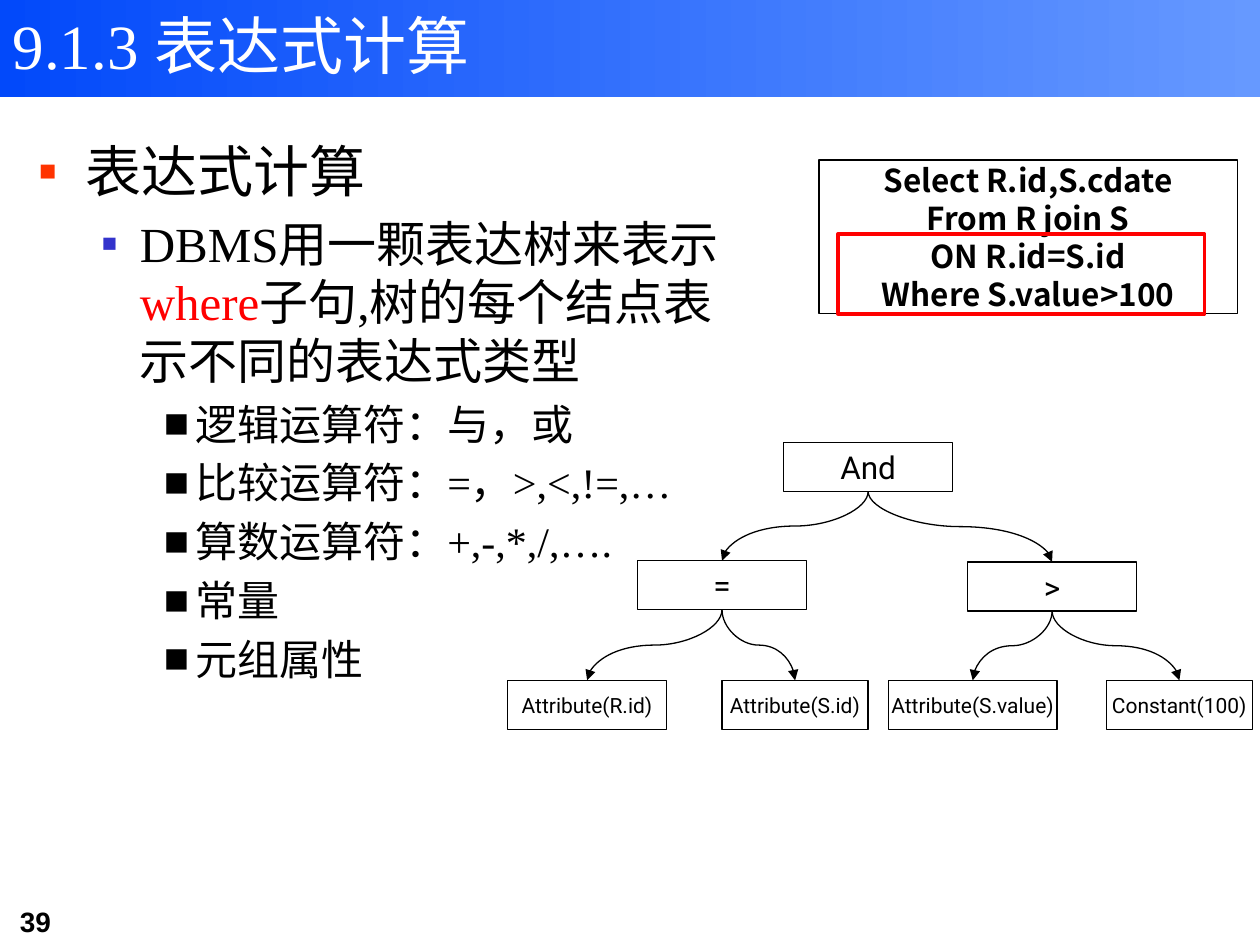
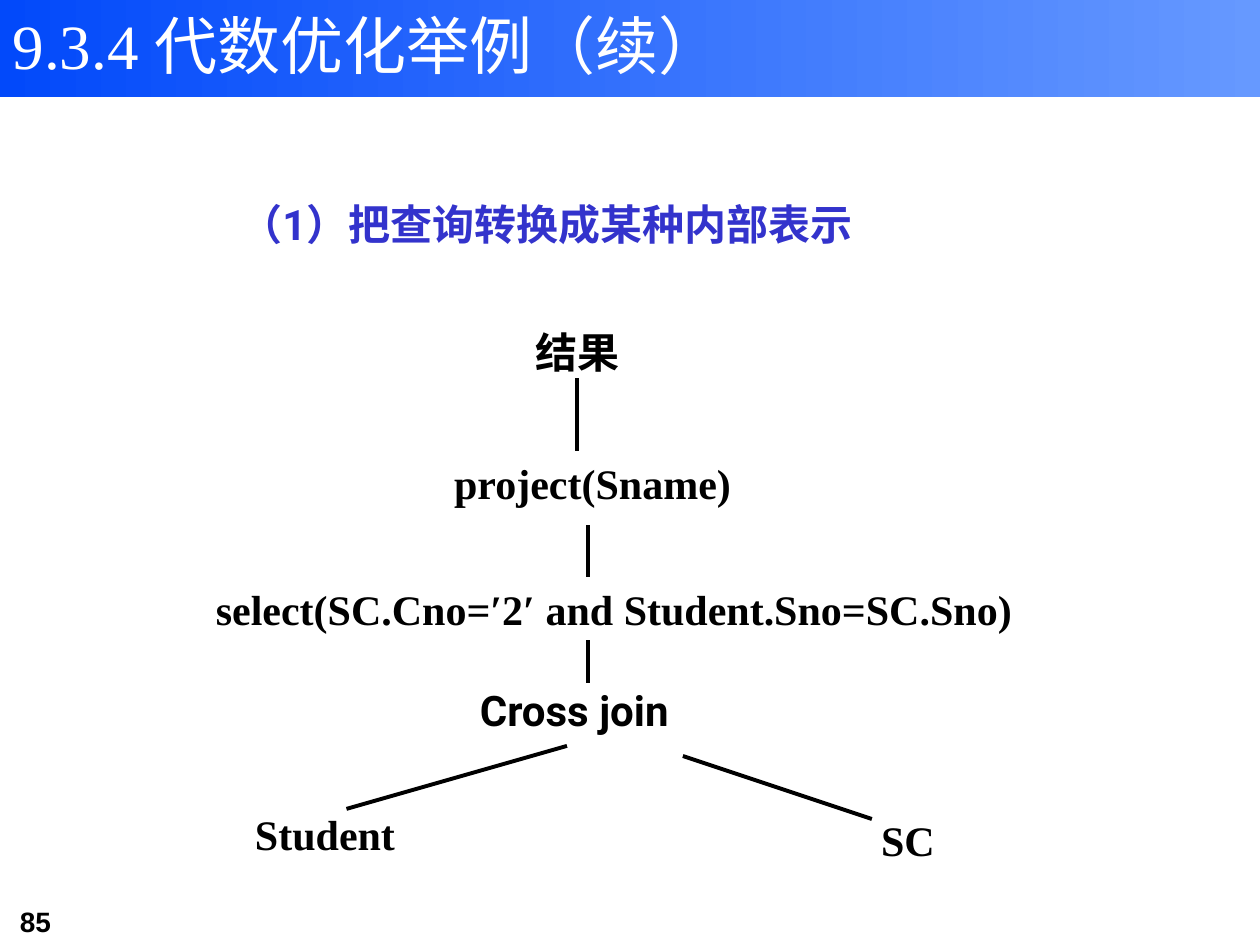
from lxml import etree
from pptx import Presentation
from pptx.dml.color import RGBColor
from pptx.enum.shapes import MSO_CONNECTOR, MSO_SHAPE
from pptx.enum.text import MSO_ANCHOR, MSO_AUTO_SIZE, PP_ALIGN
from pptx.oxml.ns import qn
from pptx.util import Inches, Pt

RECTANGLE = MSO_SHAPE.RECTANGLE
STRAIGHT, CURVE = MSO_CONNECTOR.STRAIGHT, MSO_CONNECTOR.CURVE
TOP, MIDDLE = MSO_ANCHOR.TOP, MSO_ANCHOR.MIDDLE
LEFT, CENTER = PP_ALIGN.LEFT, PP_ALIGN.CENTER
TOP_SIDE, BOTTOM_SIDE = 0, 2
TITLE_AND_CONTENT, TITLE_ONLY = 1, 5

COLORS = {
    "black": "000000", "white": "FFFFFF", "red": "FF0000",
    "band_start": "0249FA", "band_end": "6699FF",
    "bullet": "FF3300", "blue": "3333CC",
}
SERIF, SANS, CJK, NUMBER_FONT = "Times New Roman", "Roboto", "Noto Sans CJK SC", "Arial"

# List style per level: text size, left margin, hanging indent, bullet, bullet colour
LEVELS = [
    (32, 0.38, 0.38, "▪", "bullet"),
    (28, 0.81, 0.31, "▪", "blue"),
    (24, 1.25, 0.25, "■", "black"),
]


def rgb(name):
    return RGBColor.from_string(COLORS[name])


class Deck:
    """Holds the shared style and the current slide."""

    def __init__(self):
        self.presentation = Presentation()
        self.presentation.slide_width = Inches(10)
        self.presentation.slide_height = Inches(7.5)
        self.slide = None

    def add_slide(self, layout, title, number):
        layouts = self.presentation.slide_layouts
        self.slide = self.presentation.slides.add_slide(layouts[layout])
        self.band()
        shape = self.slide.shapes.title
        self.place(shape, 0, 0, 7.86, 0.77)
        self.fill_text(shape, title, 36, color="white", align=LEFT, anchor=TOP)
        self.text(number, (0.06, 7.13, 1.22, 0.37), 16, NUMBER_FONT, bold=True)

    def place(self, shape, left, top, width, height):
        shape.left, shape.top = Inches(left), Inches(top)
        shape.width, shape.height = Inches(width), Inches(height)

    def format_run(self, run, size, font=SERIF, color="black", bold=False):
        run.font.size, run.font.name, run.font.bold = Pt(size), font, bold
        run.font.color.rgb = rgb(color)
        east_asian = etree.Element(qn("a:ea"), typeface=CJK)
        run.font._element.find(qn("a:latin")).addnext(east_asian)

    def fill_text(self, shape, text, size, font=SERIF, color="black", bold=False,
                  align=LEFT, anchor=TOP, wrap=True):
        frame = shape.text_frame
        frame.text = text
        frame.auto_size = MSO_AUTO_SIZE.NONE
        frame.word_wrap, frame.vertical_anchor = wrap, anchor
        for paragraph in frame.paragraphs:
            paragraph.alignment = align
            for run in paragraph.runs:
                self.format_run(run, size, font, color, bold)

    def text(self, text, box, size, font=SERIF, **style):
        shape = self.slide.shapes.add_textbox(*map(Inches, box))
        self.fill_text(shape, text, size, font, **style)

    def rectangle(self, box, line=None, weight=0.75):
        shape = self.slide.shapes.add_shape(RECTANGLE, *map(Inches, box))
        shape.shadow.inherit = False
        shape.fill.background()
        if line:
            shape.line.color.rgb, shape.line.width = rgb(line), Pt(weight)
        else:
            shape.line.fill.background()
        return shape

    def band(self):
        shape = self.rectangle((0, 0, 10, 0.77))
        shape.fill.gradient()
        shape.fill.gradient_angle = 0
        for stop, color in zip(shape.fill.gradient_stops, ("band_start", "band_end")):
            stop.color.rgb = rgb(color)
        # Send behind the title
        shape._element.getparent().insert(2, shape._element)

    def box(self, text, box, size, font=SANS, bold=False):
        shape = self.rectangle(box, "black")
        shape.fill.solid()
        shape.fill.fore_color.rgb = rgb("white")
        self.fill_text(shape, text, size, font, bold=bold,
                       align=CENTER, anchor=MIDDLE, wrap=False)
        return shape

    def bullets(self, box, items):
        """Each item is a level and its (text, colour) parts."""
        body = self.slide.placeholders[1]
        self.place(body, *box)
        frame = body.text_frame
        frame.auto_size = MSO_AUTO_SIZE.NONE
        for index, (level, parts) in enumerate(items):
            paragraph = frame.add_paragraph() if index else frame.paragraphs[0]
            paragraph.level = level
            size, margin, hanging, bullet, bullet_color = LEVELS[level]
            properties = paragraph._p.get_or_add_pPr()
            properties.set("marL", str(Inches(margin)))
            properties.set("indent", str(-Inches(hanging)))
            color = etree.SubElement(properties, qn("a:buClr"))
            etree.SubElement(color, qn("a:srgbClr"), val=COLORS[bullet_color])
            etree.SubElement(properties, qn("a:buChar"), char=bullet)
            for text, text_color in parts:
                run = paragraph.add_run()
                run.text = text
                self.format_run(run, size, color=text_color)

    def connector(self, kind, start, end, weight):
        connector = self.slide.shapes.add_connector(kind, *map(Inches, start + end))
        connector.line.color.rgb, connector.line.width = rgb("black"), Pt(weight)
        etree.SubElement(connector._element.spPr, qn("a:effectLst"))
        return connector

    def line(self, start, end):
        self.connector(STRAIGHT, start, end, 2.25)

    def branch(self, parent, child):
        """Curved arrow from the bottom of parent to the top of child."""
        connector = self.connector(CURVE, (0, 0), (0, 0), 0.75)
        connector.begin_connect(parent, BOTTOM_SIDE)
        connector.end_connect(child, TOP_SIDE)
        etree.SubElement(connector.line._get_or_add_ln(), qn("a:tailEnd"), type="triangle")
        # Turn the curve so that it leaves and arrives vertically
        start_x, start_y = connector.begin_x, connector.begin_y
        end_x, end_y = connector.end_x, connector.end_y
        width, height = end_y - start_y, abs(end_x - start_x)
        connector.left = (start_x + end_x - width) // 2
        connector.top = (start_y + end_y - height) // 2
        connector.width, connector.height = width, height
        transform = connector._element.spPr.find(qn("a:xfrm"))
        goes_right = end_x > start_x
        transform.set("rot", str((270 if goes_right else 90) * 60000))
        transform.set("flipH", "1" if goes_right else "0")


def expression_slide(deck):
    deck.add_slide(TITLE_AND_CONTENT, "9.1.3 表达式计算", "39")
    operators = ["逻辑运算符：与，或", "比较运算符：=，>,<,!=,…",
                 "算数运算符：+,-,*,/,….", "常量", "元组属性"]
    deck.bullets((0.2, 1.03, 5.91, 5.44), [
        (0, [("表达式计算", "black")]),
        (1, [("DBMS用一颗表达树来表示", "black"), ("where", "red"),
             ("子句,树的每个结点表示不同的表达式类型", "black")]),
    ] + [(2, [(operator, "black")]) for operator in operators])

    # Query with its condition framed
    query = "Select R.id,S.cdate\nFrom R join S\nON R.id=S.id\nWhere S.value>100"
    deck.box(query, (6.5, 1.27, 3.32, 1.22), 18, CJK, bold=True)

    # Expression tree
    node_width, node_height, leaf_top = 1.34, 0.39, 5.4
    root = deck.box("And", (6.22, 3.51, node_width, node_height), 18)
    comparisons = [
        ("=", 5.06, 4.45, [("Attribute(R.id)", 4.03, 1.26), ("Attribute(S.id)", 5.73, 1.16)]),
        (">", 7.68, 4.46, [("Attribute(S.value)", 7.05, 1.34), ("Constant(100)", 8.78, 1.16)]),
    ]
    for operator, left, top, leaves in comparisons:
        node = deck.box(operator, (left, top, node_width, node_height), 18)
        deck.branch(root, node)
        for label, leaf_left, leaf_width in leaves:
            leaf = deck.box(label, (leaf_left, leaf_top, leaf_width, node_height), 12)
            deck.branch(node, leaf)
    deck.rectangle((6.65, 1.86, 2.91, 0.63), "red", 2.25)


def query_tree_slide(deck):
    deck.add_slide(TITLE_ONLY, "9.3.4 代数优化举例（续）", "85")
    deck.text("（1）把查询转换成某种内部表示", (1.81, 1.53, 5.1, 0.5), 24, SANS,
              color="blue", bold=True)

    # Operators and relations
    nodes = [
        ("结果", (3.83, 2.5, 1.5, 0.58)),
        ("project(Sname) ", (3.58, 3.58, 2.33, 0.5)),
        ("select(SC.Cno=′2′ and Student.Sno=SC.Sno) ", (3.5, 4.5, 2.83, 0.67)),
        ("Student", (2.08, 6.33, 1, 0.58)),
        ("SC", (6.58, 6.33, 1.25, 0.67)),
    ]
    for label, box in nodes:
        deck.text(label, box, 24, bold=True, align=CENTER, anchor=MIDDLE, wrap=False)
    deck.text("Cross join", (3.71, 5.38, 2.08, 0.5), 24, SANS, bold=True)

    # Tree edges
    edges = [
        ((4.58, 3), (4.58, 3.58)),
        ((4.67, 4.17), (4.67, 4.58)),
        ((4.67, 5.08), (4.67, 5.42)),
        ((4.5, 5.92), (2.75, 6.42)),
        ((5.42, 6), (6.92, 6.5)),
    ]
    for start, end in edges:
        deck.line(start, end)


def main():
    deck = Deck()
    expression_slide(deck)
    query_tree_slide(deck)
    deck.presentation.save("out.pptx")


if __name__ == "__main__":
    main()
